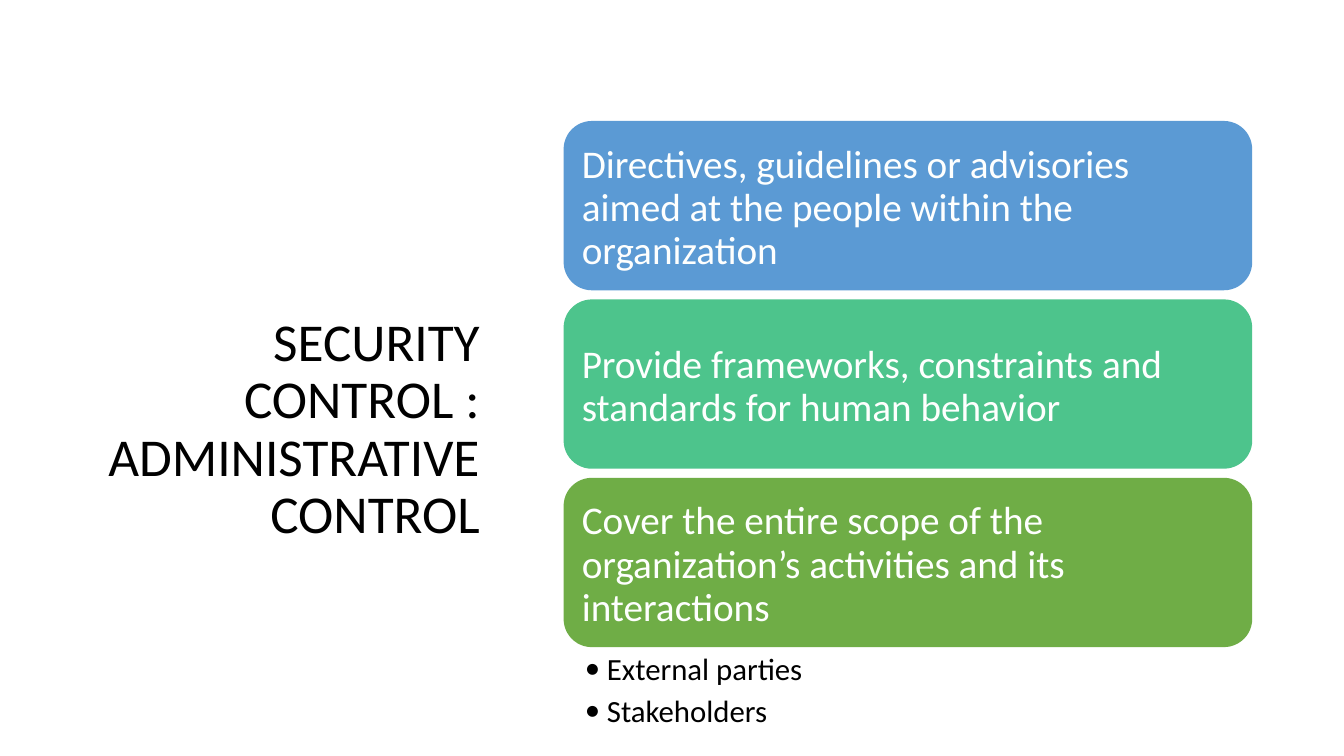
"""Build the administrative security control slide."""
from dataclasses import dataclass

from lxml.etree import SubElement
from pptx import Presentation
from pptx.dml.color import RGBColor
from pptx.enum.shapes import MSO_SHAPE
from pptx.enum.text import MSO_ANCHOR, MSO_AUTO_SIZE, PP_ALIGN
from pptx.oxml.ns import qn
from pptx.util import Inches, Pt


@dataclass(frozen=True)
class Theme:
    font: str = "Calibri"
    ink: str = "000000"
    light: str = "FEFFFE"
    cards: tuple = ("5B9AD4", "4DC48C", "6FAD46")
    title_size: float = 38
    card_size: float = 28
    list_size: float = 22


def write(paragraph, text, theme, size, color, align=PP_ALIGN.LEFT, spacing=1.0, before=0):
    paragraph.text = text
    paragraph.alignment = align
    paragraph.line_spacing = spacing
    paragraph.space_before = Pt(before)
    paragraph.font.name = theme.font
    paragraph.font.size = Pt(size)
    paragraph.font.bold = False
    paragraph.font.color.rgb = RGBColor.from_string(color)


class Page:
    def __init__(self, deck, theme):
        self.theme = theme
        self.slide = deck.slides.add_slide(deck.slide_layouts[1])

    def frame(self, box, margins=(0, 0, 0, 0), anchor=MSO_ANCHOR.TOP):
        frame = box.text_frame
        frame.word_wrap = True
        frame.auto_size = MSO_AUTO_SIZE.NONE
        frame.vertical_anchor = anchor
        left, top, right, bottom = map(Inches, margins)
        frame.margin_left, frame.margin_top = left, top
        frame.margin_right, frame.margin_bottom = right, bottom
        return frame

    def place(self, box, left, top, width, height):
        box.left, box.top = Inches(left), Inches(top)
        box.width, box.height = Inches(width), Inches(height)

    def title(self, text, *place):
        box = self.slide.shapes.title
        self.place(box, *place)
        write(self.frame(box).paragraphs[0], text, self.theme, self.theme.title_size,
              self.theme.ink, align=PP_ALIGN.RIGHT, spacing=Pt(41))

    def card(self, text, color, *place):
        box = self.slide.shapes.add_shape(MSO_SHAPE.ROUNDED_RECTANGLE, *map(Inches, place))
        box.shadow.inherit = False
        box.fill.solid()
        box.fill.fore_color.rgb = RGBColor.from_string(color)
        box.line.fill.background()
        frame = self.frame(box, margins=(0.1, 0.04, 0.62, 0), anchor=MSO_ANCHOR.MIDDLE)
        write(frame.paragraphs[0], text, self.theme, self.theme.card_size,
              self.theme.light, spacing=Pt(31))

    def bullets(self, items, *place):
        box = self.slide.placeholders[1]
        self.place(box, *place)
        frame = self.frame(box)
        for index, item in enumerate(items):
            paragraph = frame.add_paragraph() if index else frame.paragraphs[0]
            properties = paragraph._p.get_or_add_pPr()
            properties.set("marL", str(Inches(0.22)))
            properties.set("indent", str(Inches(-0.22)))
            SubElement(properties, qn("a:buFont"), typeface=self.theme.font)
            SubElement(properties, qn("a:buChar"), char="•")
            write(paragraph, item, self.theme, self.theme.list_size, self.theme.ink,
                  spacing=1.02, before=3 if index else 0)


def main():
    deck = Presentation()
    deck.slide_width, deck.slide_height = Inches(13.33), Inches(7.5)
    theme = Theme()
    page = Page(deck, theme)
    page.title("SECURITY CONTROL : ADMINISTRATIVE CONTROL", 0.95, 3.12, 3.81, 2.27)
    statements = (
        "Directives, guidelines or advisories aimed at the people within the organization",
        "Provide frameworks, constraints and standards for human behavior",
        "Cover the entire scope of the organization’s activities and its interactions",
    )
    for row, (statement, color) in enumerate(zip(statements, theme.cards)):
        page.card(statement, color, 5.59, 1.2 + row * 1.77, 6.83, 1.68)
    page.bullets(("External parties", "Stakeholders"), 5.8, 6.44, 4.8, 0.85)
    deck.save("out.pptx")


if __name__ == "__main__":
    main()
